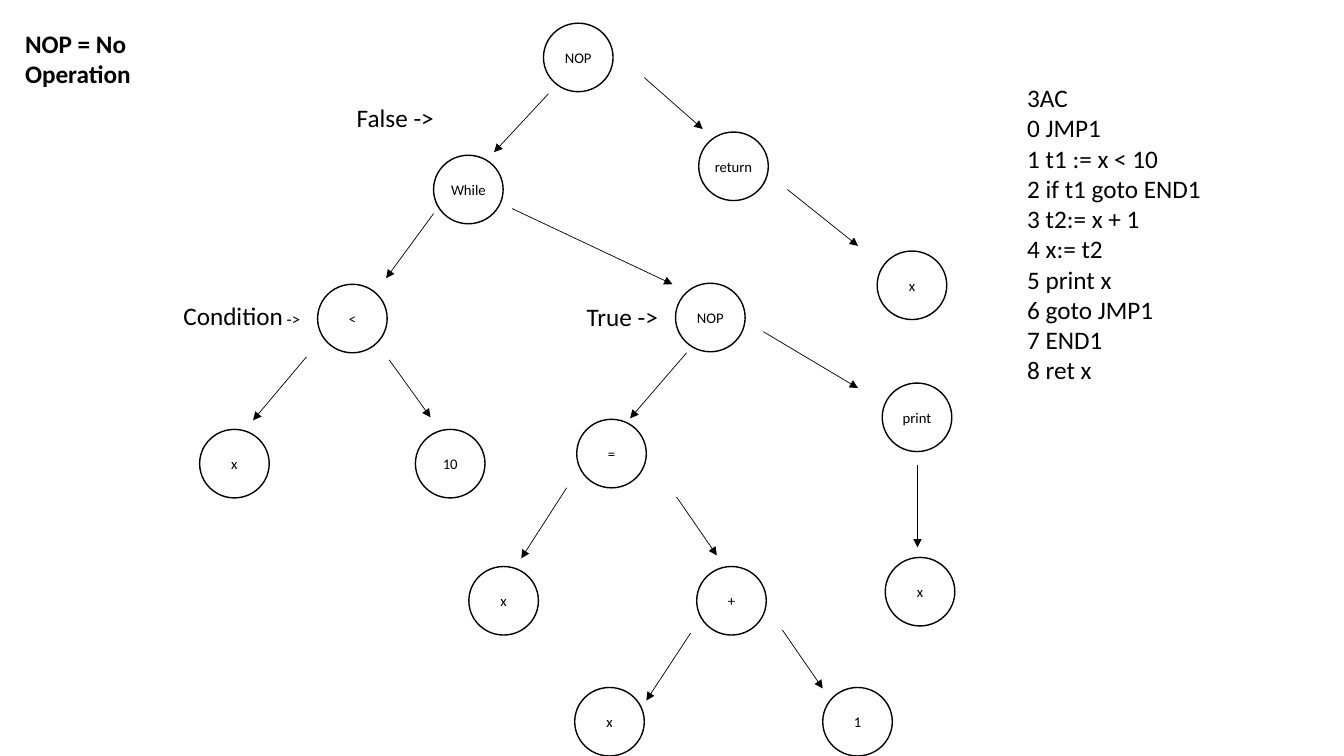
"""Build a slide showing a syntax tree of a while loop beside its three-address code."""
from typing import Any, NamedTuple

from lxml.etree import SubElement
from pptx import Presentation
from pptx.dml.color import RGBColor as Rgb
from pptx.enum.shapes import MSO_CONNECTOR as Link, MSO_SHAPE as Preset
from pptx.enum.text import MSO_ANCHOR as Anchor, PP_ALIGN as Align
from pptx.oxml.ns import qn
from pptx.util import Inches, Pt


class Node(NamedTuple):
    symbol: str
    left: float
    top: float


class Edge(NamedTuple):
    x1: float
    y1: float
    x2: float
    y2: float


class Run(NamedTuple):
    text: str
    size: float = 18
    bold: bool = False


class Note(NamedTuple):
    left: float
    top: float
    width: float
    height: float
    lines: list[list[Run]]


COLOURS = {"ink": "000000", "paper": "FFFFFF"}
INK = Rgb.from_string(COLOURS["ink"])
NODE_WIDTH, NODE_HEIGHT = Inches(0.69), Inches(0.68)
NODE_FRAME = {
    "margin_left": 0, "margin_right": 0, "margin_top": 0, "margin_bottom": 0,
    "vertical_anchor": Anchor.MIDDLE, "word_wrap": False,
}
NOTE_FRAME = {"word_wrap": True, "vertical_anchor": Anchor.TOP}

NODES = [
    Node("NOP", 5.39, 0.23), Node("While", 4.3, 1.54), Node("return", 6.93, 1.31),
    Node("x", 8.7, 2.49), Node("<", 3.15, 2.82), Node("NOP", 6.7, 2.81),
    Node("x", 1.98, 4.26), Node("10", 4.12, 4.26), Node("=", 5.72, 4.16),
    Node("print", 8.75, 3.8), Node("x", 4.65, 5.62), Node("+", 6.91, 5.62),
    Node("x", 8.78, 5.53), Node("x", 5.7, 6.82), Node("1", 8.16, 6.82),
]
EDGES = [
    Edge(5.44, 0.93, 4.9, 1.51), Edge(6.39, 0.77, 6.97, 1.28),
    Edge(4.3, 2.12, 3.83, 2.76), Edge(5.08, 2.07, 6.67, 2.82),
    Edge(7.81, 1.88, 8.51, 2.44), Edge(3.04, 3.54, 2.51, 4.17),
    Edge(3.86, 3.57, 4.27, 4.14), Edge(6.81, 3.5, 6.25, 4.15),
    Edge(7.57, 3.29, 8.51, 3.85), Edge(5.62, 4.84, 5.17, 5.54),
    Edge(6.71, 4.93, 7.11, 5.51), Edge(9.1, 4.61, 9.1, 5.43),
    Edge(6.85, 6.28, 6.41, 6.95), Edge(7.76, 6.25, 8.16, 6.83),
]
CODE = [
    "3AC", "0 JMP1", "1 t1 := x < 10", "2 if t1 goto END1", "3 t2:= x + 1",
    "4 x:= t2", "5 print x", "6 goto JMP1", "7 END1", "8 ret x",
]
NOTES = [
    Note(0.15, 0.23, 1.83, 0.71, [[Run("NOP = No Operation", bold=True)]]),
    Note(1.72, 2.93, 1.58, 0.4, [[Run("Condition"), Run(" ->", 12)]]),
    Note(5.72, 2.94, 1.29, 0.4, [[Run("True ->")]]),
    Note(3.44, 0.97, 1.5, 0.4, [[Run("False ->")]]),
    Note(10.09, 0.77, 2.44, 4.34, [[Run(line)] for line in CODE]),
]


def apply_format(target: Any, values: dict[str, Any]) -> None:
    """Set each named attribute on the target."""
    for name, value in values.items():
        setattr(target, name, value)


def add_run(paragraph: Any, run: Run) -> None:
    """Append one styled run to a paragraph."""
    piece = paragraph.add_run()
    piece.text = run.text
    apply_format(piece.font, {"name": "Calibri", "size": Pt(run.size), "bold": run.bold})
    piece.font.color.rgb = INK


def ink_line(line: Any, points: float) -> None:
    """Give a line the ink colour and a width."""
    line.fill.solid()
    line.fill.fore_color.rgb = INK
    line.width = Pt(points)


def draw_node(slide: Any, node: Node) -> None:
    """Draw a circled symbol of the tree."""
    circle = slide.shapes.add_shape(
        Preset.OVAL, Inches(node.left), Inches(node.top), NODE_WIDTH, NODE_HEIGHT)
    circle.shadow.inherit = False
    circle.fill.background()
    ink_line(circle.line, 1)
    apply_format(circle.text_frame, NODE_FRAME)
    symbol = circle.text_frame.paragraphs[0]
    symbol.alignment = Align.CENTER
    add_run(symbol, Run(node.symbol, 10.5))


def draw_edge(slide: Any, edge: Edge) -> None:
    """Draw an arrow from a parent towards its child."""
    arrow = slide.shapes.add_connector(Link.STRAIGHT, *map(Inches, edge))
    ink_line(arrow.line, 0.5)
    properties = arrow._element.spPr
    SubElement(properties.find(qn("a:ln")), qn("a:tailEnd"), type="triangle")
    SubElement(properties, qn("a:effectLst"))


def draw_note(slide: Any, note: Note) -> None:
    """Write a note beside the tree."""
    frame = slide.shapes.add_textbox(*map(Inches, note[:4])).text_frame
    apply_format(frame, NOTE_FRAME)
    for index, line in enumerate(note.lines):
        paragraph = frame.add_paragraph() if index else frame.paragraphs[0]
        for run in line:
            add_run(paragraph, run)


def main() -> None:
    """Build and save the slide."""
    deck = Presentation()
    apply_format(deck, {"slide_width": Inches(13.33), "slide_height": Inches(7.5)})
    slide = deck.slides.add_slide(deck.slide_layouts[6])
    slide.background.fill.solid()
    slide.background.fill.fore_color.rgb = Rgb.from_string(COLOURS["paper"])
    for draw, parts in ((draw_node, NODES), (draw_edge, EDGES), (draw_note, NOTES)):
        for part in parts:
            draw(slide, part)
    deck.save("out.pptx")


main()
